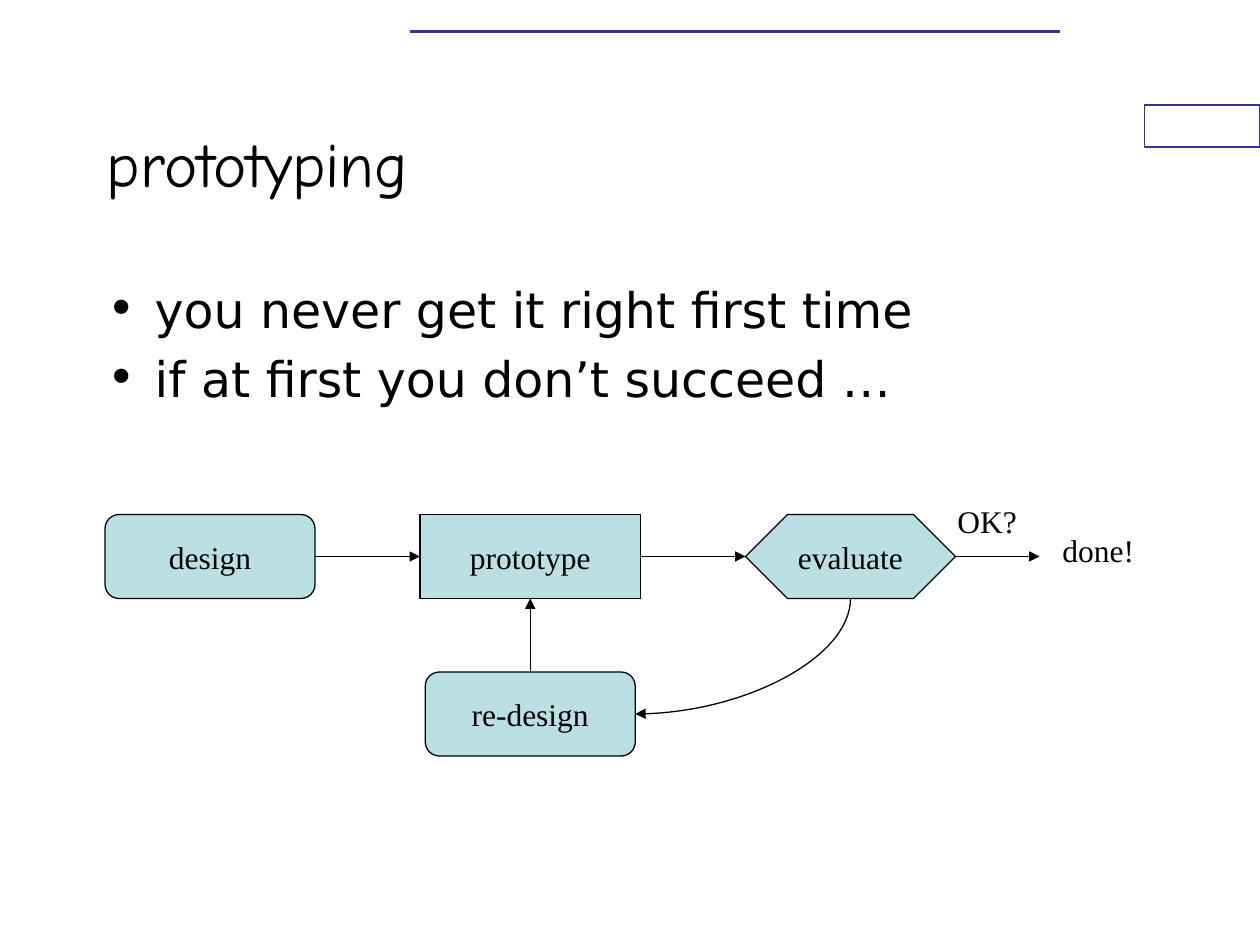
from dataclasses import dataclass

from lxml.etree import SubElement
from pptx import Presentation
from pptx.dml.color import RGBColor as RGB
from pptx.enum.shapes import MSO_CONNECTOR as CXN, MSO_SHAPE as SHAPE
from pptx.enum.text import MSO_ANCHOR as ANCHOR, MSO_AUTO_SIZE as AUTO, PP_ALIGN as ALIGN
from pptx.oxml.ns import qn
from pptx.util import Inches, Pt

COLS, ROWS = 120, 90
TOP, LOW, BOX_H = 49, 64, 8
MID = TOP + BOX_H / 2


@dataclass(frozen=True)
class Theme:
    ink: RGB = RGB(0x00, 0x00, 0x00)
    paper: RGB = RGB(0xFF, 0xFF, 0xFF)
    accent: RGB = RGB(0x33, 0x33, 0x99)
    box: RGB = RGB(0xBB, 0xE0, 0xE3)
    title: tuple = ("Comic Neue", 36)
    body: tuple = ("DejaVu Sans", 28)
    label: tuple = ("Times New Roman", 18)
    line: float = 0.75
    rule: float = 1.25
    bullet_gap: float = 6


T = Theme()


def grid(*units):
    return [Inches(u * 10 / COLS) for u in units]


def style(p, face):
    for r in p.runs:
        r.font.name, r.font.size = face[0], Pt(face[1])
        r.font.color.rgb = T.ink


def add_text(s, at, lines, face, anchor=ANCHOR.TOP):
    tf = s.shapes.add_textbox(*grid(*at)).text_frame
    tf.word_wrap, tf.vertical_anchor = True, anchor
    tf.text = "\n".join(lines)
    for p in tf.paragraphs:
        style(p, face)
    return tf


def add_label(s, at, text):
    tf = add_text(s, at, [text], T.label)
    tf.word_wrap, tf.auto_size = False, AUTO.SHAPE_TO_FIT_TEXT


def add_bullets(s, at, lines):
    tf = add_text(s, at, lines, T.body)
    for i, p in enumerate(tf.paragraphs):
        pPr = p._p.get_or_add_pPr()
        pPr.set("marL", str(Inches(0.38)))
        pPr.set("indent", str(-Inches(0.38)))
        SubElement(pPr, qn("a:buFont")).set("typeface", T.body[0])
        SubElement(pPr, qn("a:buChar")).set("char", "•")
        if i:
            p.space_before = Pt(T.bullet_gap)


def add_box(s, kind, at, fill, line, text=""):
    sp = s.shapes.add_shape(kind, *grid(*at))
    sp.shadow.inherit = False
    sp.fill.solid()
    sp.fill.fore_color.rgb = fill
    sp.line.color.rgb, sp.line.width = line, Pt(T.line)
    if text:
        tf = sp.text_frame
        tf.word_wrap, tf.vertical_anchor = False, ANCHOR.MIDDLE
        p = tf.paragraphs[0]
        p.text, p.alignment = text, ALIGN.CENTER
        style(p, T.label)
    return sp


def add_line(s, ends, color, width, kind=CXN.STRAIGHT, arrow=False):
    cx = s.shapes.add_connector(kind, *grid(*ends))
    cx.line.color.rgb, cx.line.width = color, Pt(width)
    if arrow:
        SubElement(cx.line._get_or_add_ln(), qn("a:tailEnd")).set("type", "triangle")
    SubElement(cx._element.spPr, qn("a:effectLst"))
    return cx


def add_arrow(s, ends, start, start_site, stop=None, stop_site=None):
    cx = add_line(s, ends, T.ink, T.line, arrow=True)
    cx.begin_connect(start, start_site)
    if stop is not None:
        cx.end_connect(stop, stop_site)


def add_return_curve(s, start, stop):
    x1, y1 = start.left + start.width // 2, start.top + start.height
    x2, y2 = stop.left + stop.width, stop.top + stop.height // 2
    cx = add_line(s, (0, 0, 1, 1), T.ink, T.line, CXN.CURVE, arrow=True)
    cx.begin_connect(start, 2)
    cx.end_connect(stop, 3)
    w, h = y2 - y1, x1 - x2
    cx.left, cx.top = (x1 + x2 - w) // 2, (y1 + y2 - h) // 2
    cx.width, cx.height = w, h
    spPr = cx._element.spPr
    xfrm = spPr.find(qn("a:xfrm"))
    for flip in ("flipH", "flipV"):
        xfrm.attrib.pop(flip, None)
    xfrm.set("rot", str(90 * 60000))
    spPr.find(qn("a:prstGeom")).set("prst", "curvedConnector2")


def add_flow(s):
    steps = {
        "prototype": (SHAPE.FLOWCHART_PROCESS, 40, TOP, 21),
        "evaluate": (SHAPE.FLOWCHART_PREPARATION, 71, TOP, 20),
        "design": (SHAPE.FLOWCHART_ALTERNATE_PROCESS, 10, TOP, 20),
        "re-design": (SHAPE.FLOWCHART_ALTERNATE_PROCESS, 40.5, LOW, 20),
    }
    box = {
        name: add_box(s, kind, (x, y, w, BOX_H), T.box, T.ink, name)
        for name, (kind, x, y, w) in steps.items()
    }
    add_arrow(s, (61, MID, 71, MID), box["prototype"], 3, box["evaluate"], 1)
    add_arrow(s, (30, MID, 40, MID), box["design"], 3, box["prototype"], 1)
    add_return_curve(s, box["evaluate"], box["re-design"])
    add_arrow(s, (50.5, LOW, 50.5, TOP + BOX_H), box["re-design"], 0, box["prototype"], 2)
    add_arrow(s, (91, MID, 99, MID), box["evaluate"], 3)
    add_label(s, (100, 50, 11.5, 6), "done!")
    add_label(s, (90, 47.2, 8.1, 4.8), "OK?")


def main():
    prs = Presentation()
    prs.slide_width, prs.slide_height = grid(COLS, ROWS)
    s = prs.slides.add_slide(prs.slide_layouts[6])
    add_box(s, SHAPE.RECTANGLE, (109, 10, 11, 4), T.paper, T.accent)
    add_line(s, (39, 3, 101, 3), T.accent, T.rule)
    add_text(s, (9, 8, 90, 15), ["prototyping"], T.title, ANCHOR.MIDDLE)
    add_bullets(s, (9, 26, 102, 54), [
        "you never get it right first time",
        "if at first you don’t succeed …",
    ])
    add_flow(s)
    prs.save("out.pptx")


if __name__ == "__main__":
    main()
